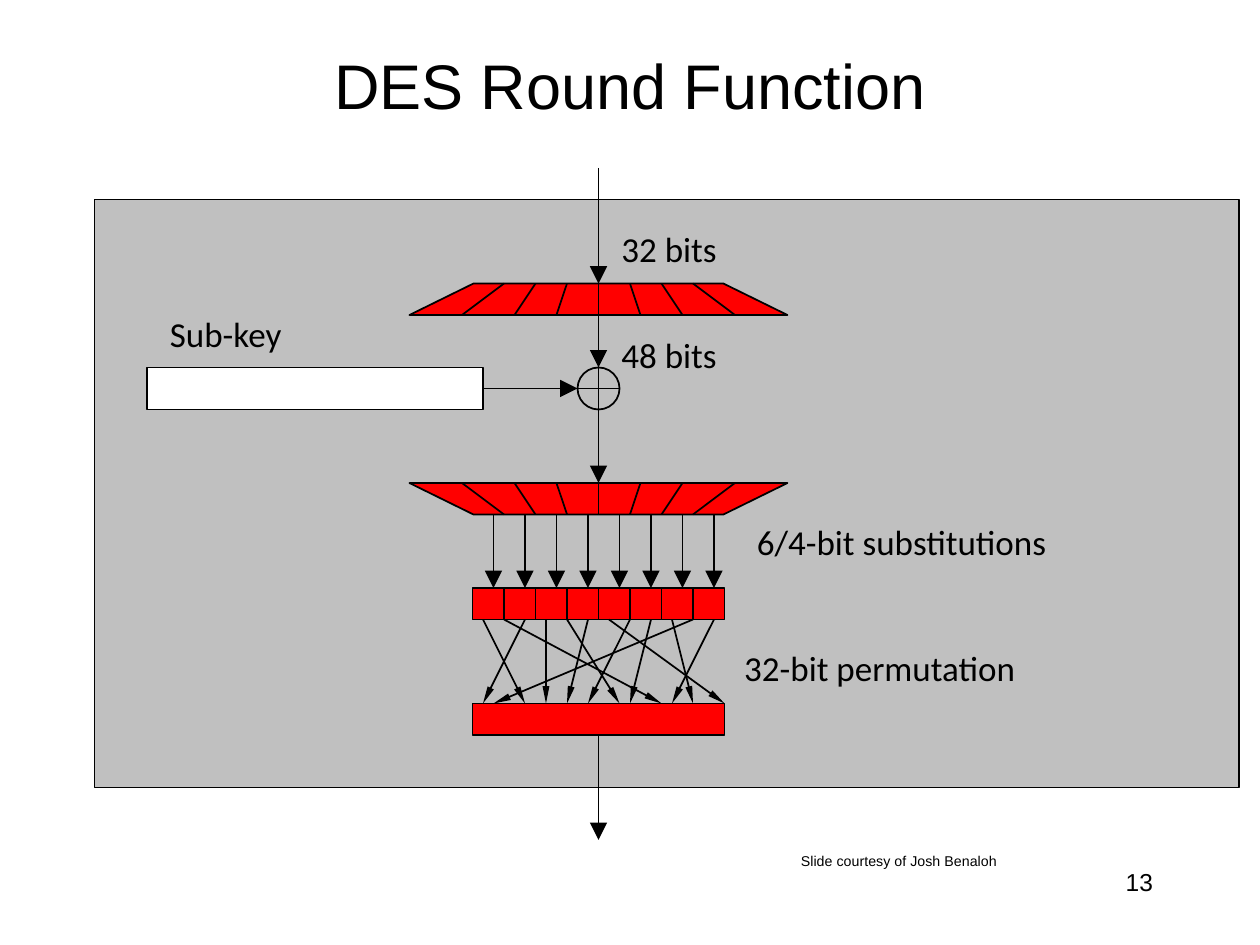
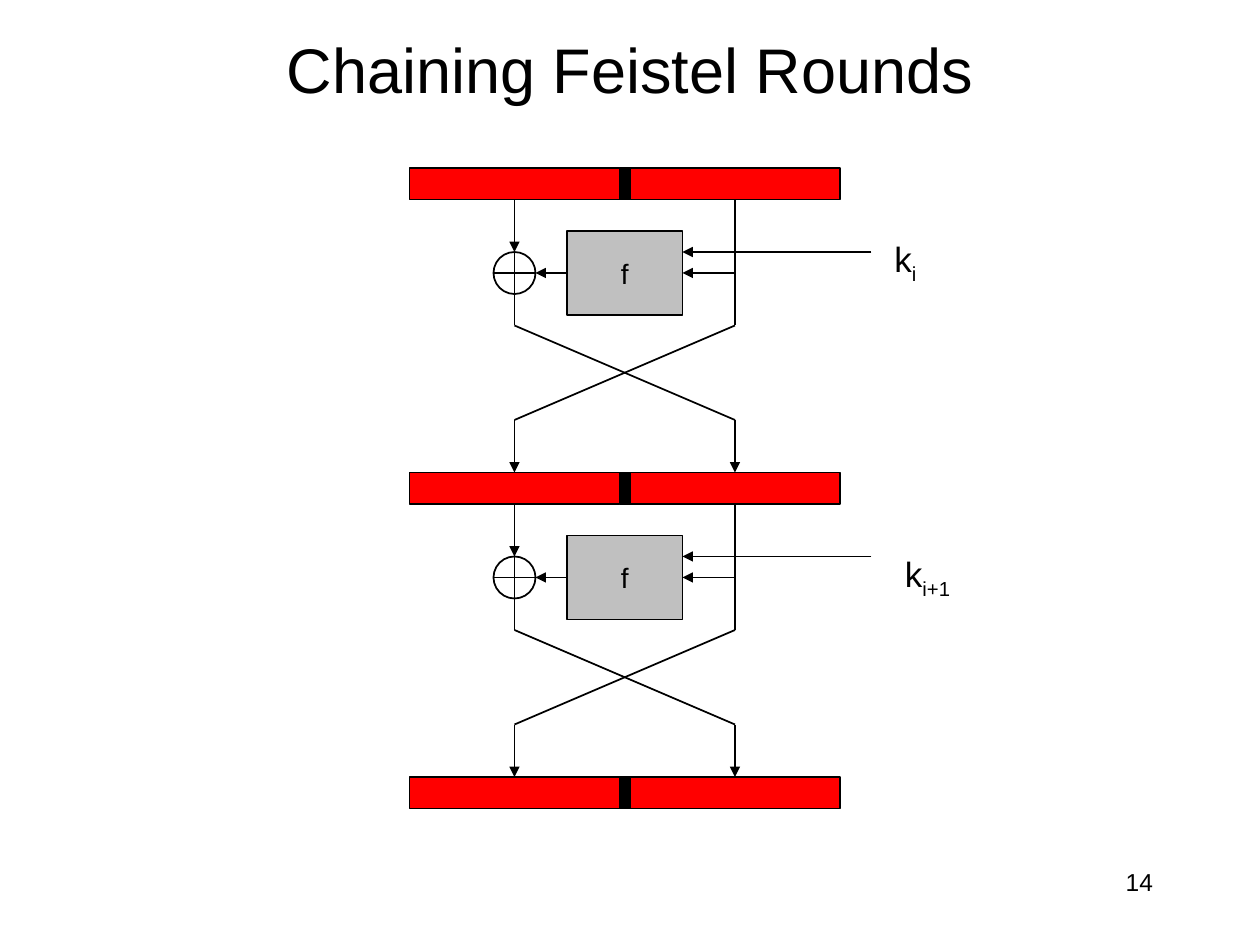
from dataclasses import dataclass

from lxml.etree import SubElement
from pptx import Presentation
from pptx.dml.color import RGBColor as Rgb
from pptx.enum.shapes import MSO_CONNECTOR as Link, MSO_SHAPE as Preset
from pptx.enum.text import MSO_ANCHOR as Anchor, MSO_AUTO_SIZE as AutoSize, PP_ALIGN as Align
from pptx.oxml.ns import qn
from pptx.util import Inches, Pt

COLS, ROWS = 120, 90  # grid cells across and down the slide
TITLE_ONLY = 5


@dataclass(frozen=True)
class Theme:
    ink: Rgb = Rgb(0, 0, 0)
    paper: Rgb = Rgb(255, 255, 255)
    block: Rgb = Rgb(255, 0, 0)
    panel: Rgb = Rgb(192, 192, 192)
    heading_font: str = "Arial"
    label_font: str = "Calibri"
    title_size: int = 36
    label_size: int = 20
    function_size: int = 16
    small_size: int = 14
    line_width: int = 1
    subscript: str = "-25000"


# Arrowheads as (width, length)
PLAIN, LARGE, SLIM = ("med", "med"), ("lg", "lg"), ("sm", "lg")


class Deck:
    """Holds the theme and the slide being drawn; lengths are grid cells."""

    def __init__(self, theme):
        self.theme = theme
        self.prs = Presentation()
        self.prs.slide_width, self.prs.slide_height = Inches(10), Inches(7.5)
        self.cell_w = self.prs.slide_width / COLS
        self.cell_h = self.prs.slide_height / ROWS

    def at(self, x, y):
        return round(x * self.cell_w), round(y * self.cell_h)

    def area(self, x, y, w, h):
        return *self.at(x, y), *self.at(w, h)

    def add_slide(self, title, title_rows, number):
        self.slide = self.prs.slides.add_slide(self.prs.slide_layouts[TITLE_ONLY])
        self.shapes = self.slide.shapes
        self.side_middles = {}
        heading = self.shapes.title
        heading.left, heading.top, heading.width, heading.height = self.area(9, 3, 102, title_rows)
        heading.text_frame.vertical_anchor = Anchor.MIDDLE
        heading.text_frame.auto_size = AutoSize.NONE
        self.add_runs(heading.text_frame, [title], self.theme.title_size, align=Align.CENTER)
        self.label(86, 82, 25, 6, number, size=self.theme.small_size,
                   font=self.theme.heading_font, align=Align.RIGHT, grow=False)

    def add_runs(self, frame, texts, size, font=None, align=Align.LEFT, lowered=()):
        """Fill one paragraph run by run; lowered lists the subscript runs."""
        paragraph = frame.paragraphs[0]
        paragraph.alignment = align
        for index, text in enumerate(texts):
            run = paragraph.add_run()
            run.text = text
            run.font.size = Pt(size)
            run.font.name = font or self.theme.heading_font
            run.font.color.rgb = self.theme.ink
            if index in lowered:
                run.font._element.set("baseline", self.theme.subscript)

    def label(self, x, y, w, h, *texts, size=None, font=None, align=Align.LEFT,
              lowered=(), wrap=True, grow=True):
        frame = self.shapes.add_textbox(*self.area(x, y, w, h)).text_frame
        frame.word_wrap = wrap
        frame.auto_size = AutoSize.SHAPE_TO_FIT_TEXT if grow else AutoSize.NONE
        self.add_runs(frame, texts, size or self.theme.label_size,
                      font or self.theme.label_font, align, lowered)

    def paint(self, shape, fill):
        shape.shadow.inherit = False
        if fill is None:
            shape.fill.background()
        else:
            shape.fill.solid()
            shape.fill.fore_color.rgb = fill
        self.stroke(shape)

    def stroke(self, shape):
        shape.line.color.rgb = self.theme.ink
        shape.line.width = Pt(self.theme.line_width)

    def box(self, x, y, w, h, fill, text=None):
        shape = self.shapes.add_shape(Preset.RECTANGLE, *self.area(x, y, w, h))
        self.paint(shape, fill)
        if text:
            shape.text_frame.vertical_anchor = Anchor.MIDDLE
            self.add_runs(shape.text_frame, [text], self.theme.function_size, align=Align.CENTER)
        middles = (x + w / 2, y), (x, y + h / 2), (x + w / 2, y + h), (x + w, y + h / 2)
        self.side_middles.update({middle: (shape, side) for side, middle in enumerate(middles)})

    def outline(self, points, fill):
        corners = [self.at(*point) for point in points]
        builder = self.shapes.build_freeform(*corners[0], scale=1.0)
        builder.add_line_segments(corners[1:], close=True)
        self.paint(builder.convert_to_shape(), fill)

    def line(self, start, end, head=None):
        """Draw a line, joined to any box whose side middle it touches."""
        link = self.shapes.add_connector(Link.STRAIGHT, *self.at(*start), *self.at(*end))
        self.stroke(link)
        properties = link._element.spPr
        if head:
            width, length = head
            SubElement(properties.find(qn("a:ln")), qn("a:tailEnd"),
                       type="triangle", w=width, len=length)
        SubElement(properties, qn("a:effectLst"))
        if start in self.side_middles:
            link.begin_connect(*self.side_middles[start])
        if end in self.side_middles:
            link.end_connect(*self.side_middles[end])

    def xor(self, x, y, radius=2):
        """Circle with a horizontal bar; the data line supplies the vertical."""
        ring = self.shapes.add_shape(
            Preset.OVAL, *self.area(x - radius, y - radius, 2 * radius, 2 * radius))
        self.paint(ring, None)
        self.line((x - radius, y), (x + radius, y))


def draw_bit_fan(deck, wide_row, narrow_row):
    """Trapezoid of eight cells between a 48-bit and a 32-bit edge."""
    deck.outline([(39, wide_row), (45.1, narrow_row), (68.9, narrow_row), (75, wide_row)],
                 deck.theme.block)
    for index, wide_x in enumerate((44, 49, 53, 57, 61, 65, 70)):
        deck.line((48 + 3 * index, narrow_row), (wide_x, wide_row))


def draw_round_function(deck):
    theme = deck.theme
    axis = 57
    deck.add_slide("DES Round Function", 10, "13")
    deck.box(9, 19, 109, 56, theme.panel)

    # Expansion and sub-key mixing
    draw_bit_fan(deck, wide_row=30, narrow_row=27)
    deck.box(14, 35, 32, 4, theme.paper)
    deck.xor(axis, 37)
    deck.line((46, 37), (55, 37), LARGE)
    for top, bottom in ((16, 27), (30, 35), (35, 46)):
        deck.line((axis, top), (axis, bottom), LARGE)

    # Substitution boxes
    draw_bit_fan(deck, wide_row=46, narrow_row=49)
    deck.box(45, 56, 24, 3, theme.block)
    for x in range(48, 69, 3):
        deck.line((x, 56), (x, 59))
    for x in range(47, 69, 3):
        deck.line((x, 49), (x, 56), LARGE)

    # Permutation and output
    deck.box(45, 67, 24, 3, theme.block)
    targets = (50, 63, 46, 52, 59, 54, 69, 56, 60, 66, 47, 64)
    for index, target in enumerate(targets):
        deck.line((46 + 2 * index, 59), (target, 67), SLIM)
    deck.line((axis, 70), (axis, 80), LARGE)

    # Labels
    for x, y, w, text in (
        (15, 29.2, 13.2, "Sub-key"),
        (58, 21.1, 11.6, "32 bits"),
        (58, 31.2, 11.6, "48 bits"),
        (70.9, 49, 31.1, "6/4-bit substitutions"),
        (69.7, 61, 29.3, "32-bit permutation"),
    ):
        deck.label(x, y, w, 5.2, text, wrap=False)
    deck.label(75.1, 79, 25, 3, "Slide courtesy of Josh Benaloh", size=theme.small_size,
               font=theme.heading_font, lowered=(0,))


def draw_halves(deck, row):
    """Left and right halves of the block with the divider between them."""
    for x in (39, 60):
        deck.box(x, row, 20, 3, deck.theme.block)
    deck.box(59, row, 1, 3, deck.theme.ink)


def draw_feistel_round(deck, row, height):
    left, right = 49, 70
    mixing, crossing, landing = row + 10, row + 15, row + 24

    # Round function and XOR
    deck.box(54, row + 6, 11, 8, deck.theme.panel, "f")
    deck.xor(left, mixing)
    deck.line((right, mixing), (65, mixing), PLAIN)
    deck.line((54, mixing), (51, mixing), PLAIN)
    deck.line((83, row + 8), (65, row + 8), PLAIN)

    # Halves run down, swap and land on the next block
    deck.line((left, row + 3), (left, row + 8), PLAIN)
    deck.line((left, row + 8), (left, crossing))
    deck.line((right, row + 3), (right, crossing))
    for start, end in ((left, right), (right, left)):
        deck.line((start, crossing), (end, landing))
        deck.line((end, landing), (end, row + height), PLAIN)


def draw_chained_rounds(deck):
    first_row, height = 16, 29
    deck.add_slide("Chaining Feistel Rounds", 7, "14")
    for index in range(3):
        draw_halves(deck, first_row + index * height)
    for index in range(2):
        draw_feistel_round(deck, first_row + index * height, height)

    # Round keys
    for x, y, w, subscript in ((84, 22, 4.8, "i"), (85, 52, 9, "i+1")):
        deck.label(x, y, w, 5.2, "k", subscript, font=deck.theme.heading_font, lowered=(1,))


def main():
    deck = Deck(Theme())
    draw_round_function(deck)
    draw_chained_rounds(deck)
    deck.prs.save("out.pptx")


if __name__ == "__main__":
    main()
